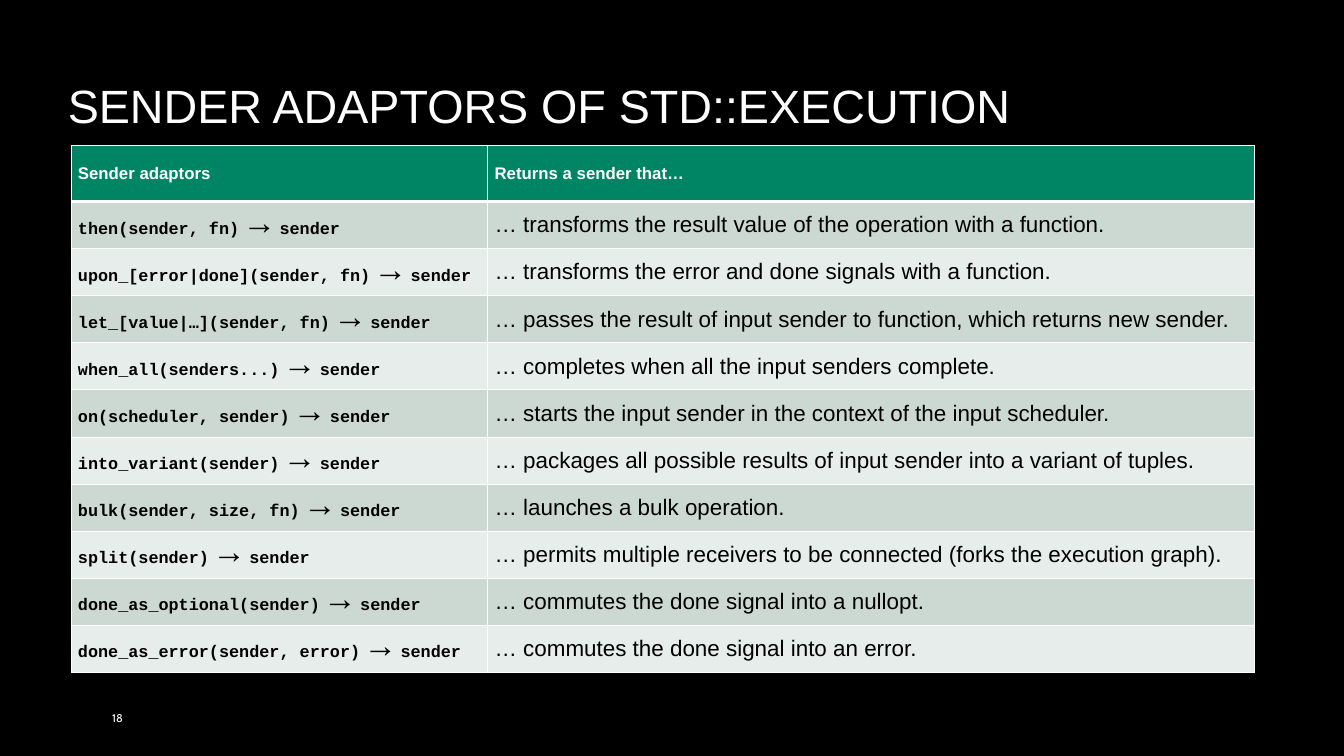
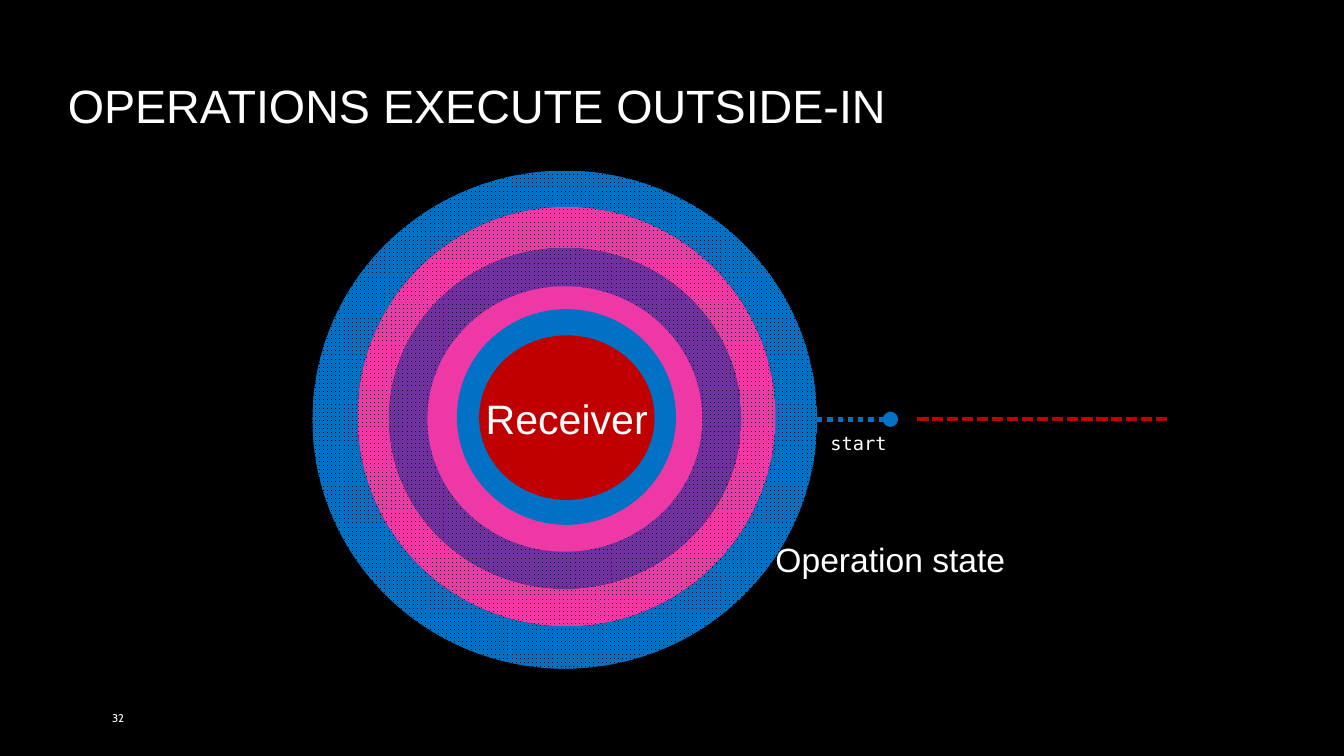
"""Build two slides on sender adaptors and nested operations."""
from lxml.etree import SubElement
from pptx import Presentation
from pptx.dml.color import RGBColor
from pptx.enum.dml import MSO_LINE, MSO_PATTERN
from pptx.enum.shapes import MSO_CONNECTOR, MSO_SHAPE
from pptx.enum.text import MSO_ANCHOR, MSO_AUTO_SIZE, PP_ALIGN
from pptx.oxml.ns import qn
from pptx.util import Pt

PX = 9144
BLACK, WHITE = "000000", "FFFFFF"
BLUE, PINK, PURPLE, RED = "0071C5", "EE38A6", "7030A0", "C00000"
GREEN, BANDS = "008564", ("CCD9D3", "E7EDEA")
MONO = "Courier New"


def paint(fill, color, grid=False):
    if grid:
        fill.patterned()
        fill.pattern = MSO_PATTERN.SMALL_GRID
        fill.back_color.rgb = RGBColor.from_string(BLACK)
    else:
        fill.solid()
    fill.fore_color.rgb = RGBColor.from_string(color)


def write(frame, text, size=18, face="Arial", color=WHITE, bold=False,
          align=None, space=None, anchor=None, wrap=None, grow=False):
    para = frame.paragraphs[0]
    if align is not None:
        para.alignment = align
    if space is not None:
        para.line_spacing = space
    if anchor is not None:
        frame.vertical_anchor = anchor
    if wrap is not None:
        frame.word_wrap = wrap
    if grow:
        frame.auto_size = MSO_AUTO_SIZE.SHAPE_TO_FIT_TEXT
    run = para.add_run()
    run.text = text
    run.font.size, run.font.name, run.font.bold = Pt(size), face, bold
    paint(run.font.fill, color)


deck = Presentation()
deck.slide_width, deck.slide_height = 2000 * PX, 1125 * PX

slides = []
for title in ("SENDER ADAPTORS OF STD::EXECUTION", "OPERATIONS EXECUTE OUTSIDE-IN"):
    slide = deck.slides.add_slide(deck.slide_layouts[6])
    paint(slide.background.fill, BLACK)
    box = slide.shapes.add_textbox(91 * PX, 95 * PX, 1818 * PX, 108 * PX)
    write(box.text_frame, title, size=50, space=0.9, anchor=MSO_ANCHOR.BOTTOM, wrap=True)
    slides.append(slide)
first, second = slides

rows = [
    ("then(sender, fn)", "transforms the result value of the operation with a function."),
    ("upon_[error|done](sender, fn)", "transforms the error and done signals with a function."),
    ("let_[value|…](sender, fn)",
     "passes the result of input sender to function, which returns new sender."),
    ("when_all(senders...)", "completes when all the input senders complete."),
    ("on(scheduler, sender)", "starts the input sender in the context of the input scheduler."),
    ("into_variant(sender)",
     "packages all possible results of input sender into a variant of tuples."),
    ("bulk(sender, size, fn)", "launches a bulk operation."),
    ("split(sender)", "permits multiple receivers to be connected (forks the execution graph)."),
    ("done_as_optional(sender)", "commutes the done signal into a nullopt."),
    ("done_as_error(sender, error)", "commutes the done signal into an error."),
]
held = first.shapes.add_table(len(rows) + 1, 2, 106 * PX, 217 * PX, 1761 * PX, 783 * PX)
table = held.table
table.first_row = table.horz_banding = False
for col, width in zip(table.columns, (620, 1141)):
    col.width = width * PX
for i, row in enumerate(table.rows):
    row.height = (60 if i else 83) * PX
    for cell in row.cells:
        cell.vertical_anchor = MSO_ANCHOR.MIDDLE
        for side in "LRTB":
            thick = (i, side) in ((0, "B"), (1, "T"))
            edge = SubElement(cell._tc.get_or_add_tcPr(), qn(f"a:ln{side}"),
                              w=str(Pt(3 if thick else 1)))
            SubElement(SubElement(edge, qn("a:solidFill")), qn("a:srgbClr"), val=WHITE)
        paint(cell.fill, BANDS[(i - 1) % 2] if i else GREEN)
held.height = 783 * PX

for i, head in enumerate(("Sender adaptors", "Returns a sender that…")):
    write(table.cell(0, i).text_frame, head, bold=True)
for i, (call, use) in enumerate(rows, 1):
    for text, size in ((call + " ", 18), ("→", 36), (" sender", 18)):
        write(table.cell(i, 0).text_frame, text, size=size, face=MONO, color=BLACK, bold=True)
    write(table.cell(i, 1).text_frame, "… " + use, size=24, color=BLACK)

rings = [
    (465, 254, 751, 741, BLUE, True),
    (532, 308, 622, 624, PINK, True),
    (579, 369, 524, 507, PURPLE, True),
    (636, 426, 409, 395, PINK, False),
    (680, 460, 326, 321, BLUE, False),
    (713, 499, 261, 245, RED, False),
]
for *at, color, grid in rings:
    ring = second.shapes.add_shape(MSO_SHAPE.OVAL, *[v * PX for v in at])
    ring.shadow.inherit = False
    paint(ring.fill, color, grid)
    ring.line.fill.background()
write(ring.text_frame, "Receiver", size=44, align=PP_ALIGN.CENTER,
      anchor=MSO_ANCHOR.MIDDLE, wrap=False)

labels = [
    ("Operation state", (1063, 803, 524, 65), 36, "Arial", PP_ALIGN.CENTER),
    ("start", (1226, 641, 117, 40), 20, "DejaVu Sans Mono", PP_ALIGN.LEFT),
]
for text, at, size, face, align in labels:
    box = second.shapes.add_textbox(*[v * PX for v in at])
    write(box.text_frame, text, size=size, face=face, align=align, space=0.9,
          anchor=MSO_ANCHOR.MIDDLE, wrap=True, grow=True)

wires = [
    (1216, 1325, BLUE, 5.5, MSO_LINE.ROUND_DOT, True),
    (1737, 1362, RED, 4, MSO_LINE.SQUARE_DOT, False),
]
for start, end, color, width, dash, knob in wires:
    wire = second.shapes.add_connector(MSO_CONNECTOR.STRAIGHT, start * PX, 624 * PX,
                                       end * PX, 624 * PX)
    paint(wire.line.fill, color)
    wire.line.width, wire.line.dash_style = Pt(width), dash
    if knob:
        SubElement(wire.line._get_or_add_ln(), qn("a:tailEnd"), type="oval")
    SubElement(wire._element.spPr, qn("a:effectLst"))

for slide, page in zip(slides, ("18", "32")):
    box = slide.shapes.add_textbox(157 * PX, 1038 * PX, 450 * PX, 60 * PX)
    write(box.text_frame, page, size=12, face="Cabin", anchor=MSO_ANCHOR.MIDDLE, wrap=True)

deck.save("out.pptx")
